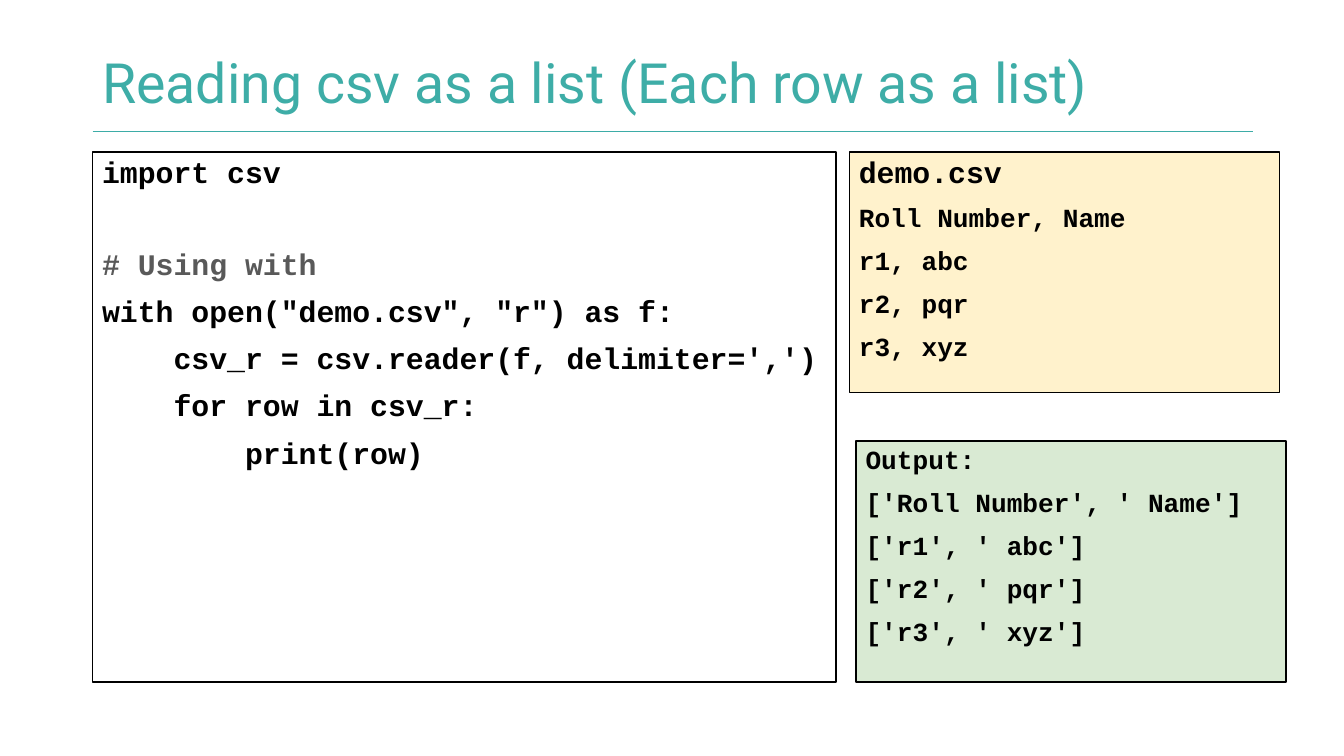
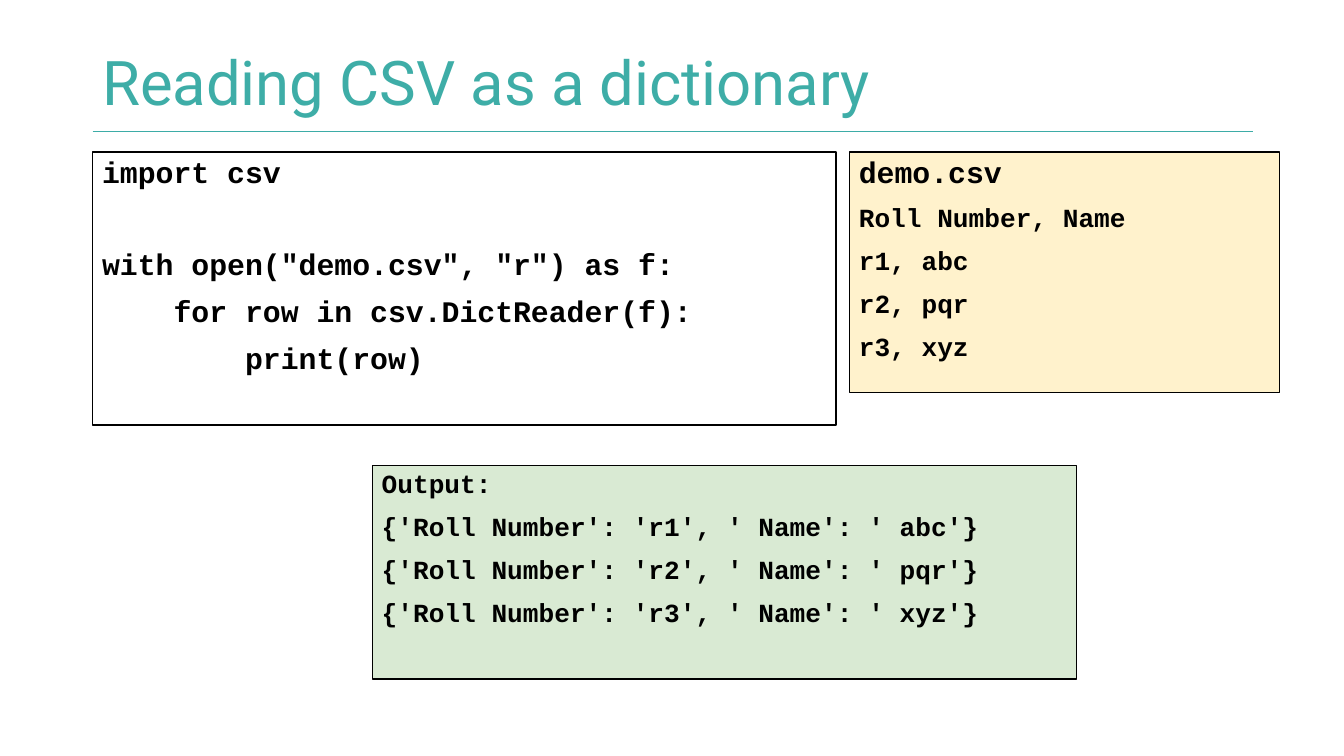
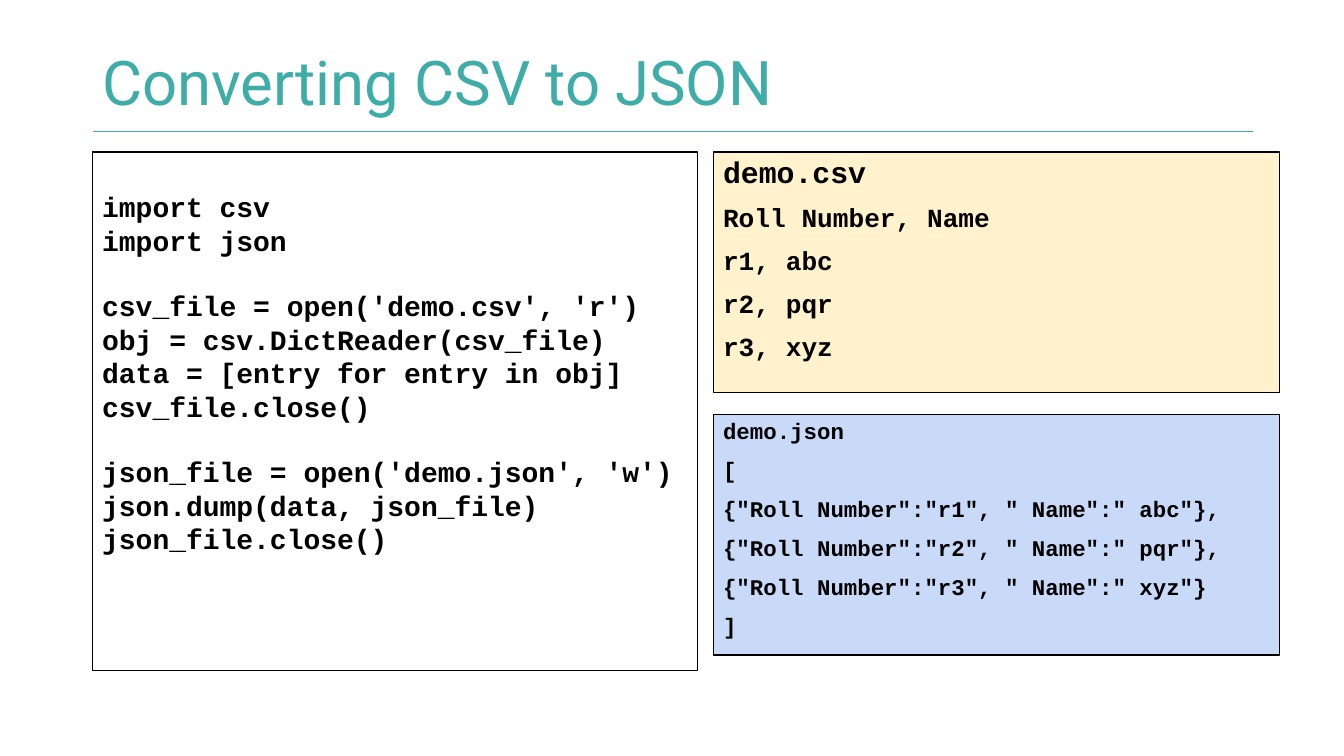
from dataclasses import dataclass

from lxml import etree
from pptx import Presentation
from pptx import util as u
from pptx.dml.color import RGBColor
from pptx.enum import shapes, text
from pptx.oxml.ns import qn


@dataclass(frozen=True)
class Theme:
    head: str = "Roboto"
    mono: str = "Courier New"
    teal: str = "3EADA7"
    rule: str = "3DACA7"
    ink: str = "000000"
    note: str = "595959"
    sand: str = "FFF2CC"
    green: str = "D9EAD3"
    blue: str = "C9DAF8"
    title: float = 33
    code: float = 16
    dense: float = 15
    data: float = 14
    small: float = 12
    line: float = 0.75
    lead: float = 0.9
    space: float = 8
    tall: float = 1.13  # line height of the mono font, in ems


T = Theme()
LEFT, TOP = 6.9, 20.1  # percent of the slide
RIGHT = 95.2
SIDE = 31.85  # height of the boxes on the right

DATA = """demo.csv
Roll Number, Name
r1, abc
r2, pqr
r3, xyz"""

LIST_CODE = """import csv

# Using with
with open("demo.csv", "r") as f:
    csv_r = csv.reader(f, delimiter=',')
    for row in csv_r:
        print(row)"""

LIST_OUT = """Output:
['Roll Number', ' Name']
['r1', ' abc']
['r2', ' pqr']
['r3', ' xyz']"""

DICT_CODE = """import csv

with open("demo.csv", "r") as f:
    for row in csv.DictReader(f):
        print(row)"""

DICT_OUT = """Output:
{'Roll Number': 'r1', ' Name': ' abc'}
{'Roll Number': 'r2', ' Name': ' pqr'}
{'Roll Number': 'r3', ' Name': ' xyz'}"""

JSON_CODE = """import csv
import json

csv_file = open('demo.csv', 'r')
obj = csv.DictReader(csv_file)
data = [entry for entry in obj]
csv_file.close()

json_file = open('demo.json', 'w')
json.dump(data, json_file)
json_file.close()"""

JSON_OUT = """demo.json
[
{"Roll Number":"r1", " Name":" abc"},
{"Roll Number":"r2", " Name":" pqr"},
{"Roll Number":"r3", " Name":" xyz"}
]"""


def write(frame, words, *, size, first=None, font=T.mono, color=T.ink,
          bold=True, lead=T.lead, space=T.space, inset=0.04,
          anchor=text.MSO_ANCHOR.TOP):
    """Fill a frame line by line; an empty line widens the gap below it."""
    frame.word_wrap = True
    frame.auto_size = text.MSO_AUTO_SIZE.NONE
    frame.vertical_anchor = anchor
    frame.margin_left = frame.margin_right = u.Inches(0.07)
    frame.margin_top, frame.margin_bottom = u.Inches(inset), u.Inches(0.04)
    gap = 0
    for n, line in enumerate(words.split("\n")):
        if not line:
            gap += size * T.tall * lead + space
            continue
        para = frame.add_paragraph() if n else frame.paragraphs[0]
        props = para._p.get_or_add_pPr()
        props.set("marL", "0")
        props.set("indent", "0")
        etree.SubElement(props, qn("a:buNone"))
        para.alignment = text.PP_ALIGN.LEFT
        para.line_spacing = lead
        para.space_before = u.Pt(space + gap if n else 0)
        run = para.add_run()
        run.text = line
        run.font.name, run.font.bold = font, bold
        run.font.size = u.Pt(size if n or first is None else first)
        shade = T.note if line.startswith("#") else color
        run.font.color.rgb = RGBColor.from_string(shade)
        gap = 0


class Deck:
    def __init__(self):
        self.prs = Presentation()
        self.prs.slide_width = u.Inches(10)
        self.prs.slide_height = u.Inches(5.625)
        self.base = self.prs.slide_layouts.get_by_name("Comparison")
        self.slide, self.free = None, []

    def x(self, share):
        return round(self.prs.slide_width * share / 100)

    def y(self, share):
        return round(self.prs.slide_height * share / 100)

    def place(self, shape, left, top, width, height):
        shape.left, shape.top = self.x(left), self.y(top)
        shape.width, shape.height = self.x(width), self.y(height)

    def start(self, words, size=T.title):
        self.slide = self.prs.slides.add_slide(self.base)
        title, *self.free = self.slide.placeholders
        self.place(title, LEFT, 5.3, 77.5, 12.1)
        write(title.text_frame, words, size=size, font=T.head, color=T.teal,
              bold=False, anchor=text.MSO_ANCHOR.MIDDLE)

    def rule(self):
        """Draw the title line and move it to the shared layout."""
        line = self.slide.shapes.add_connector(
            shapes.MSO_CONNECTOR.STRAIGHT,
            self.x(LEFT), self.y(17.4), self.x(93.2), self.y(17.4))
        line.line.color.rgb = RGBColor.from_string(T.rule)
        line.line.width = u.Pt(T.line)
        etree.SubElement(line.element.spPr, qn("a:effectLst"))
        self.base.shapes.element.append(line.element)

    def box(self, words, left, top, width, height, fill=None, **style):
        shape = self.free.pop(0)
        self.place(shape, left, top, width, height)
        if fill:
            shape.fill.solid()
            shape.fill.fore_color.rgb = RGBColor.from_string(fill)
        else:
            shape.fill.background()
        shape.line.color.rgb = RGBColor.from_string(T.ink)
        shape.line.width = u.Pt(T.line)
        write(shape.text_frame, words, **style)

    def data(self, left):
        self.box(DATA, left, TOP, RIGHT - left, SIDE, T.sand,
                 size=T.data, first=T.code)

    def close(self):
        """Remove the placeholders that were not used."""
        for shape in self.free:
            shape.element.getparent().remove(shape.element)


def main():
    deck = Deck()

    deck.start("Reading csv as a list (Each row as a list)", size=29.7)
    deck.rule()
    deck.box(LIST_CODE, LEFT, TOP, 55.3, 70.1, size=T.code)
    deck.data(63.2)
    deck.box(LIST_OUT, 63.7, 58.35, 32, SIDE, T.green, size=T.data)
    deck.close()

    deck.start("Reading CSV as a dictionary")
    deck.box(DICT_CODE, LEFT, TOP, 55.3, 36.1, size=T.code)
    deck.data(63.2)
    deck.box(DICT_OUT, 27.7, 61.55, 52.4, 28.3, T.green, size=T.data)
    deck.close()

    deck.start("Converting CSV to JSON")
    deck.box(JSON_CODE, LEFT, TOP, 45, 68.6, size=T.dense, lead=1, space=0,
             inset=0.28)
    deck.data(53.1)
    deck.box(JSON_OUT, 53.1, 54.8, RIGHT - 53.1, SIDE, T.blue, size=T.small)
    deck.close()

    deck.prs.save("out.pptx")


if __name__ == "__main__":
    main()
